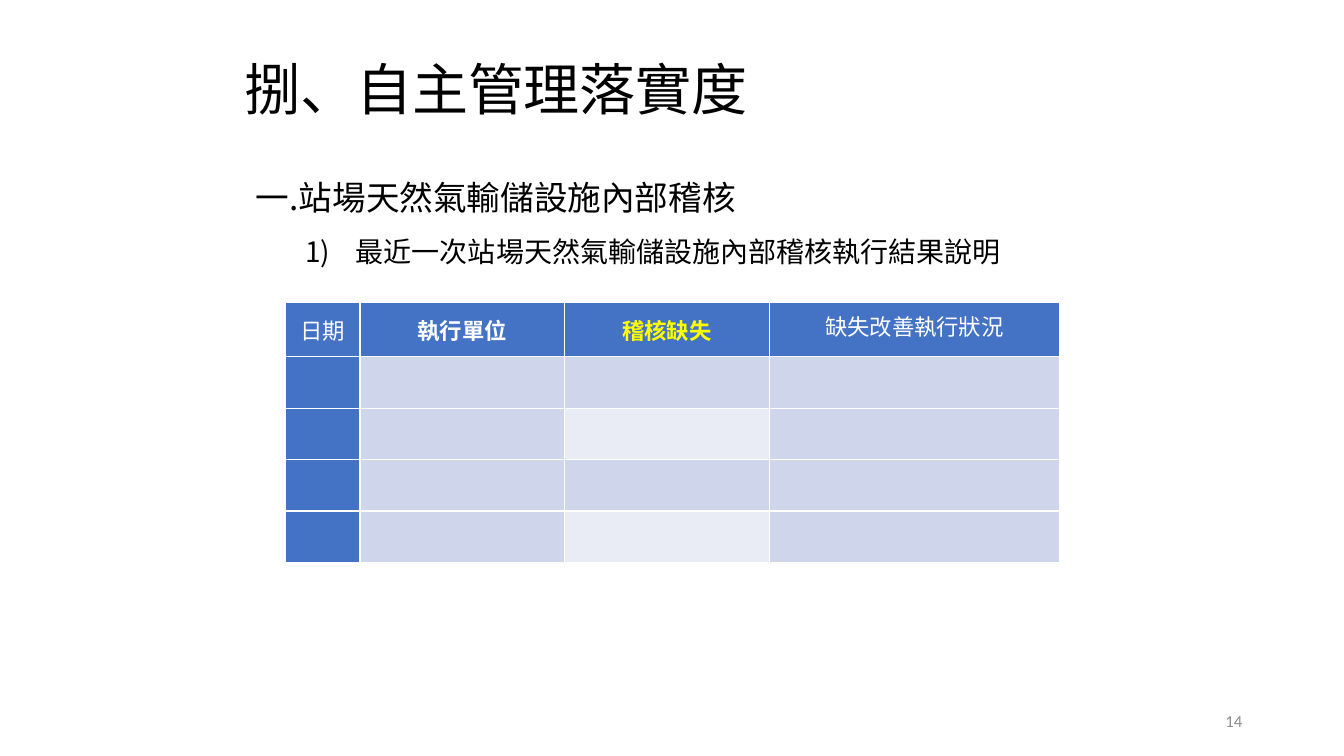
from lxml import etree
from pptx import Presentation
from pptx.dml.color import RGBColor
from pptx.enum.text import MSO_ANCHOR, MSO_AUTO_SIZE, PP_ALIGN
from pptx.oxml.ns import qn
from pptx.util import Inches, Pt

MIDDLE = MSO_ANCHOR.MIDDLE
GROW, FIXED = MSO_AUTO_SIZE.SHAPE_TO_FIT_TEXT, MSO_AUTO_SIZE.NONE
LEFT, CENTER, RIGHT = PP_ALIGN.LEFT, PP_ALIGN.CENTER, PP_ALIGN.RIGHT
WIDTH, HEIGHT = Inches(13.33), Inches(7.5)

BLACK, WHITE, GREY, YELLOW = "000000", "FFFFFF", "8C8C8C", "FFFF00"
BLUE, BAND, PALE_BAND = "4472C4", "CFD5EA", "E9EBF5"
CHINESE, LATIN = "Noto Sans CJK SC", "Calibri"


def color(value):
    return RGBColor.from_string(value)


def set_values(target, values):
    for name, value in values.items():
        setattr(target, name, value)


class SlideBuilder:
    """Holds the style and the current slide; lengths are shares of the slide."""

    def __init__(self, presentation):
        self.slide = presentation.slides.add_slide(presentation.slide_layouts[6])

    def place(self, left, top, width, height):
        return (round(left * WIDTH), round(top * HEIGHT),
                round(width * WIDTH), round(height * HEIGHT))

    def add_text(self, paragraph, text, size, ink=BLACK, font=CHINESE, bold=False,
                 tracking=None, **layout):
        set_values(paragraph, layout)
        run = paragraph.add_run()
        run.text = text
        set_values(run.font, {"name": font, "size": Pt(size), "bold": bold})
        run.font.color.rgb = color(ink)
        properties = run._r.get_or_add_rPr()
        etree.SubElement(properties, qn("a:ea"), typeface=font)
        if tracking is not None:
            properties.set("spc", str(tracking))

    def text_box(self, box, auto_size=GROW, **frame_values):
        frame = self.slide.shapes.add_textbox(*self.place(*box)).text_frame
        set_values(frame, {"word_wrap": True, "vertical_anchor": MIDDLE,
                           "auto_size": auto_size, **frame_values})
        return frame

    def number(self, paragraph, left, hanging):
        properties = paragraph._p.get_or_add_pPr()
        properties.set("marL", str(Inches(left)))
        properties.set("indent", str(Inches(-hanging)))
        etree.SubElement(properties, qn("a:buFont"), typeface=CHINESE)
        etree.SubElement(properties, qn("a:buAutoNum"), type="arabicParenR")

    def border(self, cell):
        properties = cell._tc.get_or_add_tcPr()
        for position, side in enumerate(("lnL", "lnR", "lnT", "lnB")):
            line = etree.Element(qn("a:" + side), w=str(Pt(1)))
            fill = etree.SubElement(line, qn("a:solidFill"))
            etree.SubElement(fill, qn("a:srgbClr"), val=WHITE)
            properties.insert(position, line)

    def table(self, box, column_widths, header_height, row_height, headers, fills):
        row_count = len(fills)
        table = self.slide.shapes.add_table(
            row_count, len(headers), *self.place(*box)).table
        for column, width in zip(table.columns, column_widths):
            column.width = Inches(width)
        for index, row in enumerate(table.rows):
            row.height = Inches(row_height if index else header_height)
            for cell, fill in zip(row.cells, fills[index]):
                cell.fill.solid()
                cell.fill.fore_color.rgb = color(fill)
                self.border(cell)
        for cell, (text, values) in zip(table.rows[0].cells, headers):
            set_values(cell, {"vertical_anchor": MIDDLE,
                              "margin_left": Inches(0.07), "margin_right": Inches(0.07),
                              "margin_top": 0, "margin_bottom": 0})
            self.add_text(cell.text_frame.paragraphs[0], text, 16,
                          alignment=CENTER, **{"ink": WHITE, **values})


def main():
    presentation = Presentation()
    set_values(presentation, {"slide_width": WIDTH, "slide_height": HEIGHT})
    builder = SlideBuilder(presentation)

    # Title
    title = builder.text_box((2.42 / 13.33, 0.61 / 7.5, 7.63 / 13.33, 0.61 / 7.5),
                             margin_left=Inches(0.01), margin_right=0,
                             margin_top=0, margin_bottom=0)
    builder.add_text(title.paragraphs[0], "捌、自主管理落實度", 40, tracking=-10,
                     alignment=LEFT, line_spacing=0.9)

    # Section heading and numbered point
    body = builder.text_box((2.44 / 13.33, 1.53 / 7.5, 8.25 / 13.33, 1.15 / 7.5))
    builder.add_text(body.paragraphs[0], "一.站場天然氣輸儲設施內部稽核", 24,
                     line_spacing=1.5)
    point = body.add_paragraph()
    builder.number(point, left=0.99, hanging=0.5)
    builder.add_text(point, "最近一次站場天然氣輸儲設施內部稽核執行結果說明", 20,
                     line_spacing=1.5)

    # Audit table
    headers = [("日期", {}),
               ("執行單位", {"bold": True}),
               ("稽核缺失", {"bold": True, "ink": YELLOW}),
               ("缺失改善執行狀況", {"line_spacing": Pt(18)})]
    row_pair = [[BLUE, BAND, BAND, BAND], [BLUE, BAND, PALE_BAND, BAND]]
    builder.table((2.83 / 13.33, 3 / 7.5, 7.68 / 13.33, 2.58 / 7.5),
                  [0.74, 2.03, 2.03, 2.88], 0.54, 0.51,
                  headers, [[BLUE] * 4] + row_pair * 2)

    # Page number
    page = builder.text_box((9.42 / 13.33, 6.95 / 7.5, 3 / 13.33, 0.4 / 7.5), FIXED)
    builder.add_text(page.paragraphs[0], "14", 12, GREY, LATIN, alignment=RIGHT)

    presentation.save("out.pptx")


if __name__ == "__main__":
    main()
